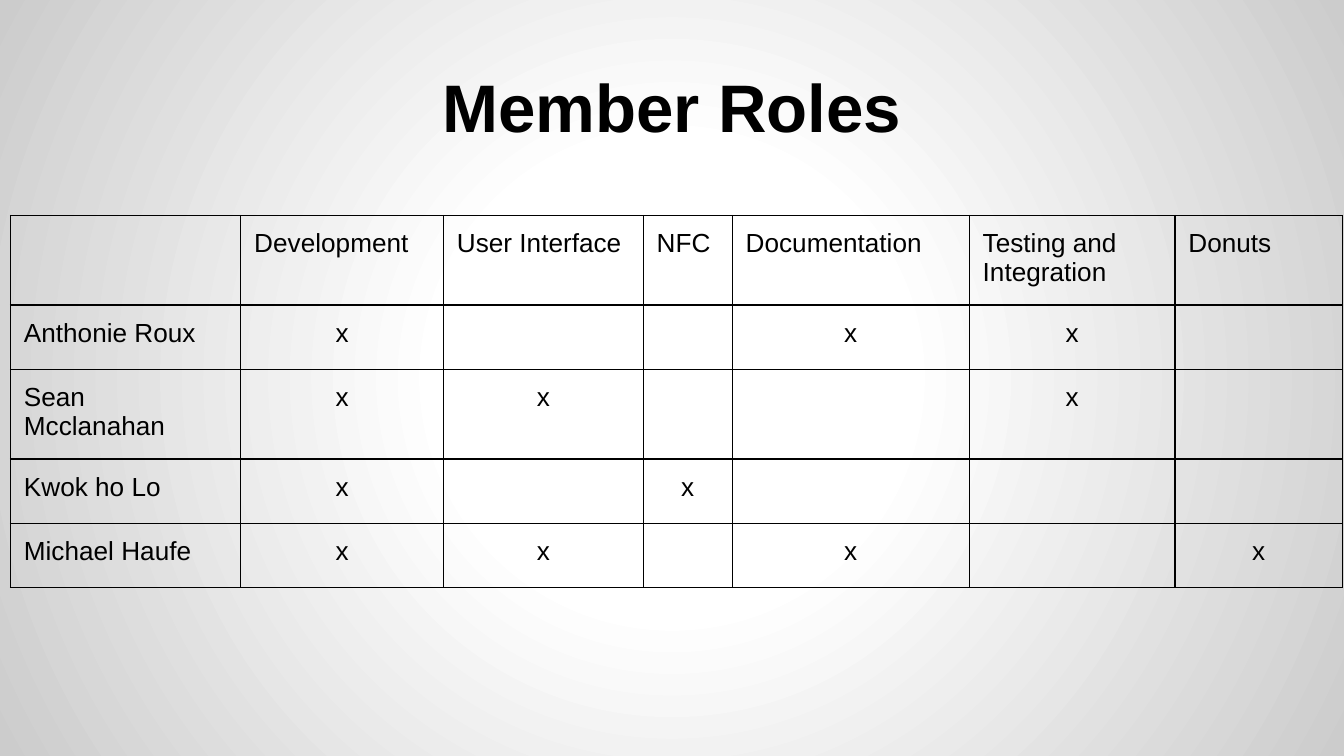
from dataclasses import dataclass

from pptx import Presentation
from pptx import util as u
from pptx.dml.color import RGBColor
from pptx.enum import text
from pptx.oxml import parse_xml
from pptx.oxml.ns import nsdecls, qn
from pptx.slide import Slide
from pptx.table import _Cell
from pptx.text.text import TextFrame


@dataclass(frozen=True)
class Theme:
    font: str = "Arial"
    ink: str = "000000"
    center: str = "FFFFFF"
    edge: str = "CCCCCC"
    title_size: float = 36
    body_size: float = 14
    border: float = 0.75
    inset: float = 7.2


@dataclass(frozen=True)
class Role:
    name: str
    width: float


@dataclass(frozen=True)
class Member:
    name: str
    roles: tuple[str, ...]
    height: float


THEME = Theme()
MEMBER_COLUMN_WIDTH = 123.4
HEADER_HEIGHT = 46
ROLES = (
    Role("Development", 108.6),
    Role("User Interface", 107),
    Role("NFC", 47.7),
    Role("Documentation", 127),
    Role("Testing and Integration", 110.2),
    Role("Donuts", 89.7),
)
MEMBERS = (
    Member("Anthonie Roux", ("Development", "Documentation", "Testing and Integration"), 34.4),
    Member("Sean Mcclanahan", ("Development", "User Interface", "Testing and Integration"), 46),
    Member("Kwok ho Lo", ("Development", "NFC"), 34.4),
    Member("Michael Haufe", ("Development", "User Interface", "Documentation", "Donuts"), 34.4),
)


def paint_background(slide: Slide) -> None:
    slide.background.fill.solid()
    properties = slide.element.find(".//" + qn("p:bgPr"))
    stops = "".join(
        f'<a:gs pos="{percent * 1000}"><a:srgbClr val="{color}"/></a:gs>'
        for percent, color in ((0, THEME.center), (30, THEME.center), (100, THEME.edge))
    )
    gradient = parse_xml(
        f'<a:gradFill {nsdecls("a")}><a:gsLst>{stops}</a:gsLst>'
        '<a:path path="circle">'
        '<a:fillToRect l="50000" t="50000" r="50000" b="50000"/>'
        "</a:path></a:gradFill>"
    )
    properties.replace(properties[0], gradient)


def write(frame: TextFrame, words: str, size: float, centered: bool, bold: bool = False) -> None:
    frame.word_wrap = True
    paragraph = frame.paragraphs[0]
    paragraph.alignment = text.PP_ALIGN.CENTER if centered else text.PP_ALIGN.LEFT
    run = paragraph.add_run()
    run.text = words
    run.font.name = THEME.font
    run.font.size = u.Pt(size)
    run.font.bold = bold
    run.font.color.rgb = RGBColor.from_string(THEME.ink)


def set_insets(target: TextFrame | _Cell) -> None:
    target.margin_left = target.margin_right = u.Pt(THEME.inset)
    target.margin_top = target.margin_bottom = u.Pt(THEME.inset)


def draw_title(slide: Slide, words: str) -> None:
    title = slide.shapes.add_textbox(u.Pt(36), u.Pt(18), u.Pt(648), u.Pt(67.5)).text_frame
    set_insets(title)
    title.vertical_anchor = text.MSO_ANCHOR.BOTTOM
    write(title, words, THEME.title_size, centered=True, bold=True)


def draw_cell(cell: _Cell, words: str, centered: bool) -> None:
    properties = cell._tc.get_or_add_tcPr()
    for side in ("lnL", "lnR", "lnT", "lnB"):
        properties.append(parse_xml(
            f'<a:{side} {nsdecls("a")} w="{u.Pt(THEME.border)}">'
            f'<a:solidFill><a:srgbClr val="{THEME.ink}"/></a:solidFill></a:{side}>'
        ))
    cell.fill.background()
    if words:
        set_insets(cell)
        write(cell.text_frame, words, THEME.body_size, centered)


def draw_roles(slide: Slide) -> None:
    widths = [MEMBER_COLUMN_WIDTH, *(role.width for role in ROLES)]
    heights = [HEADER_HEIGHT, *(member.height for member in MEMBERS)]
    matrix = slide.shapes.add_table(
        len(heights), len(widths), u.Pt(5.6), u.Pt(115.4), u.Pt(sum(widths)), u.Pt(sum(heights))
    ).table
    matrix.first_row = matrix.horz_banding = False
    for column, width in zip(matrix.columns, widths):
        column.width = u.Pt(width)
    for row, height in zip(matrix.rows, heights):
        row.height = u.Pt(height)

    lines = [["", *(role.name for role in ROLES)]]
    for member in MEMBERS:
        lines.append([member.name, *("x" if role.name in member.roles else "" for role in ROLES)])
    for row_index, line in enumerate(lines):
        for column_index, words in enumerate(line):
            is_mark = row_index > 0 and column_index > 0
            draw_cell(matrix.cell(row_index, column_index), words, centered=is_mark)


def main() -> None:
    deck = Presentation()
    deck.slide_width, deck.slide_height = u.Pt(720), u.Pt(405)
    slide = deck.slides.add_slide(deck.slide_layouts[6])
    paint_background(slide)
    draw_title(slide, "Member Roles")
    draw_roles(slide)
    deck.save("out.pptx")


if __name__ == "__main__":
    main()
